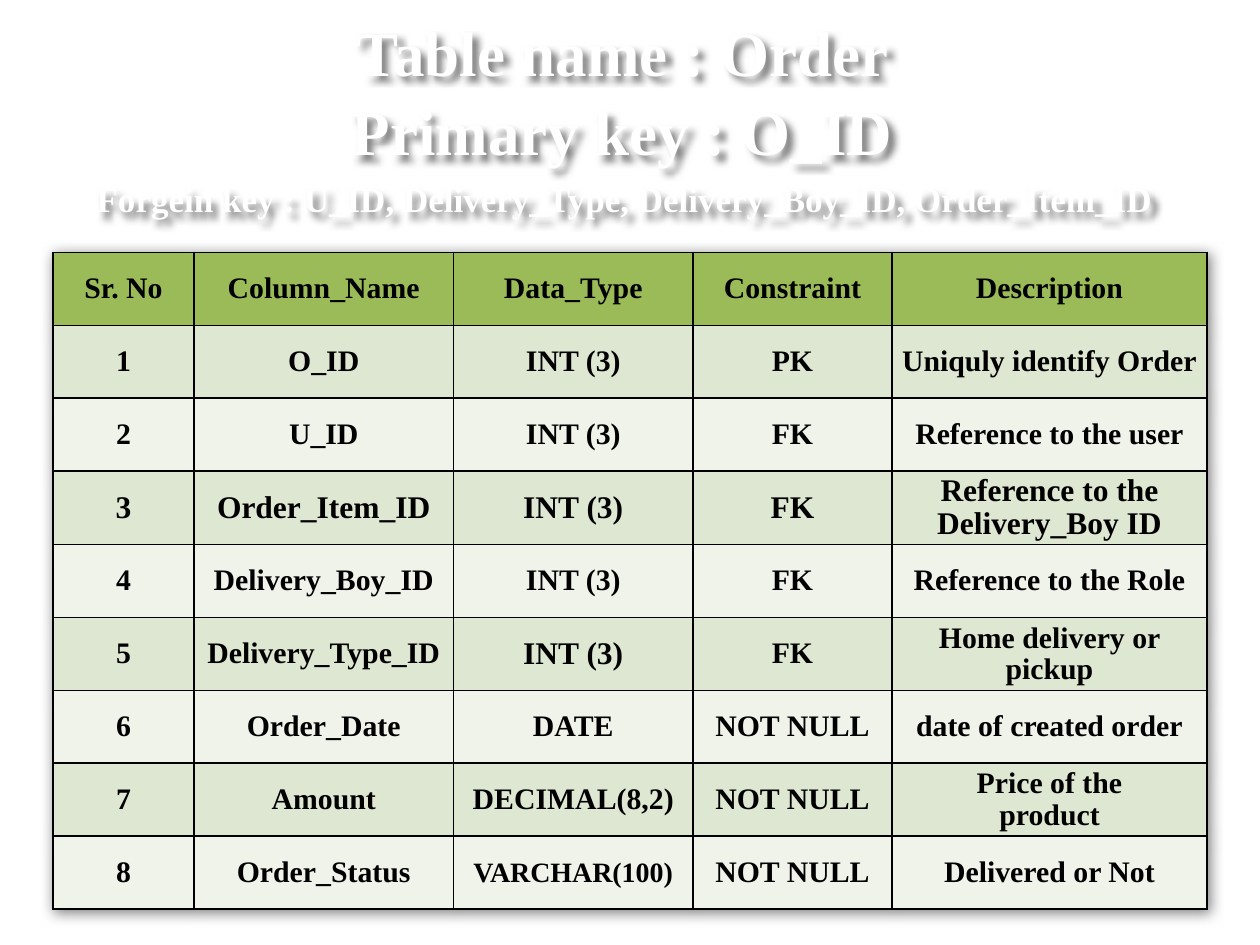
from lxml import etree
from pptx import Presentation
from pptx.dml.color import RGBColor
from pptx.enum.text import MSO_ANCHOR as Anchor, PP_ALIGN as Align
from pptx.oxml import parse_xml
from pptx.oxml.ns import nsdecls, qn
from pptx.util import Inches, Pt

WIDTH, HEIGHT = Inches(10), Inches(7.5)

HEADINGS = ["Sr. No", "Column_Name", "Data_Type", "Constraint", "Description"]
FIELDS = [
    ("O_ID", "INT (3)", "PK", "Uniquly identify Order"),
    ("U_ID", "INT (3)", "FK", "Reference to the user"),
    ("Order_Item_ID", "INT (3)", "FK", "Reference to the Delivery_Boy ID"),
    ("Delivery_Boy_ID", "INT (3)", "FK", "Reference to the Role"),
    ("Delivery_Type_ID", "INT (3)", "FK", "Home delivery or pickup"),
    ("Order_Date", "DATE", "NOT NULL", "date of created order"),
    ("Amount", "DECIMAL(8,2)", "NOT NULL", "Price of the\nproduct"),
    ("Order_Status", "VARCHAR(100)", "NOT NULL", "Delivered or Not"),
]
COLUMN_WIDTHS = [1.12, 2.06, 1.9, 1.58, 2.5]
# Cells (row, column) whose text differs from the usual size
SPECIAL_SIZES = {(3, column): 18 for column in range(5)} | {(5, 2): 18, (8, 2): 16}

TITLE_RUNS = [
    ("Table name : Order ", 36, True, True),
    ("Primary key : O_ID ", 36, True, True),
    ("Forgein key : U_ID, Delivery_Type, Delivery_Boy_ID, Order_Item_ID", 20, True, False),
    (" ", 24, False, False),
]


def color(hex_value):
    return RGBColor.from_string(hex_value)


def shadow(blur, distance, opacity):
    """Return an effect list with a black outer shadow; lengths in points."""
    return parse_xml(
        f'<a:effectLst {nsdecls("a")}><a:outerShdw blurRad="{Pt(blur)}" '
        f'dist="{Pt(distance)}" dir="2700000" algn="ctr" rotWithShape="0">'
        f'<a:srgbClr val="000000"><a:alpha val="{opacity * 1000}"/></a:srgbClr>'
        "</a:outerShdw></a:effectLst>"
    )


class SchemaSlide:
    font_name = "Times New Roman"
    ink, title_color = "000000", "FFFFFF"
    header_fill, band_fills = "9BBB59", ("EFF3EA", "DEE7D1")
    cell_size = 17

    def __init__(self, slide):
        self.slide = slide

    def box(self, left, top, width, height):
        """Turn shares of the slide's size into lengths."""
        return (int(left * WIDTH), int(top * HEIGHT),
                int(width * WIDTH), int(height * HEIGHT))

    def style(self, paragraph, hex_value):
        paragraph.alignment = Align.CENTER
        paragraph.font.name = self.font_name
        paragraph.font.color.rgb = color(hex_value)

    def title(self, runs, *shares):
        heading = self.slide.shapes.add_textbox(*self.box(*shares))
        frame = heading.text_frame
        frame.word_wrap = True
        frame.vertical_anchor = Anchor.MIDDLE
        paragraph = frame.paragraphs[0]
        self.style(paragraph, self.title_color)
        paragraph.line_spacing = 1.05
        for text, size, bold, ends_line in runs:
            run = paragraph.add_run()
            run.text = text
            run.font.size, run.font.bold = Pt(size), bold
            if ends_line:
                paragraph.add_line_break()
        heading._element.spPr.append(shadow(4, 4, 50))

    def table(self, rows, widths, special_sizes, *shares):
        frame = self.slide.shapes.add_table(len(rows), len(widths), *self.box(*shares))
        table = frame.table
        table.first_row = table.horz_banding = False
        table._tbl.tblPr.insert(0, shadow(8, 2, 50))
        for column, width in zip(table.columns, widths):
            column.width = Inches(width)
        for r, row in enumerate(rows):
            fill = self.band_fills[r % 2] if r else self.header_fill
            for c, text in enumerate(row):
                size = special_sizes.get((r, c), self.cell_size)
                self.cell(table.cell(r, c), text, size, fill)

    def cell(self, cell, text, size, fill):
        cell.text = text
        cell.vertical_anchor = Anchor.MIDDLE
        cell.margin_left = cell.margin_right = cell.margin_top = Inches(0.01)
        cell.margin_bottom = 0
        for paragraph in cell.text_frame.paragraphs:
            self.style(paragraph, self.ink)
            paragraph.font.size, paragraph.font.bold = Pt(size), True
            paragraph.line_spacing = 0.95
        self.borders(cell)
        cell.fill.solid()
        cell.fill.fore_color.rgb = color(fill)

    def borders(self, cell):
        properties = cell._tc.get_or_add_tcPr()
        for side in ("lnL", "lnR", "lnT", "lnB"):
            line = etree.SubElement(properties, qn(f"a:{side}"), w=str(Pt(1)))
            solid = etree.SubElement(line, qn("a:solidFill"))
            etree.SubElement(solid, qn("a:srgbClr"), val=self.ink)


def main():
    deck = Presentation()
    deck.slide_width, deck.slide_height = WIDTH, HEIGHT
    page = SchemaSlide(deck.slides.add_slide(deck.slide_layouts[6]))
    page.title(TITLE_RUNS, 0.05, 0.044, 0.9, 0.156)
    rows = [HEADINGS] + [(str(n), *field) for n, field in enumerate(FIELDS, 1)]
    page.table(rows, COLUMN_WIDTHS, SPECIAL_SIZES, 0.042, 0.267, 0.917, 0.695)
    deck.save("out.pptx")


if __name__ == "__main__":
    main()
